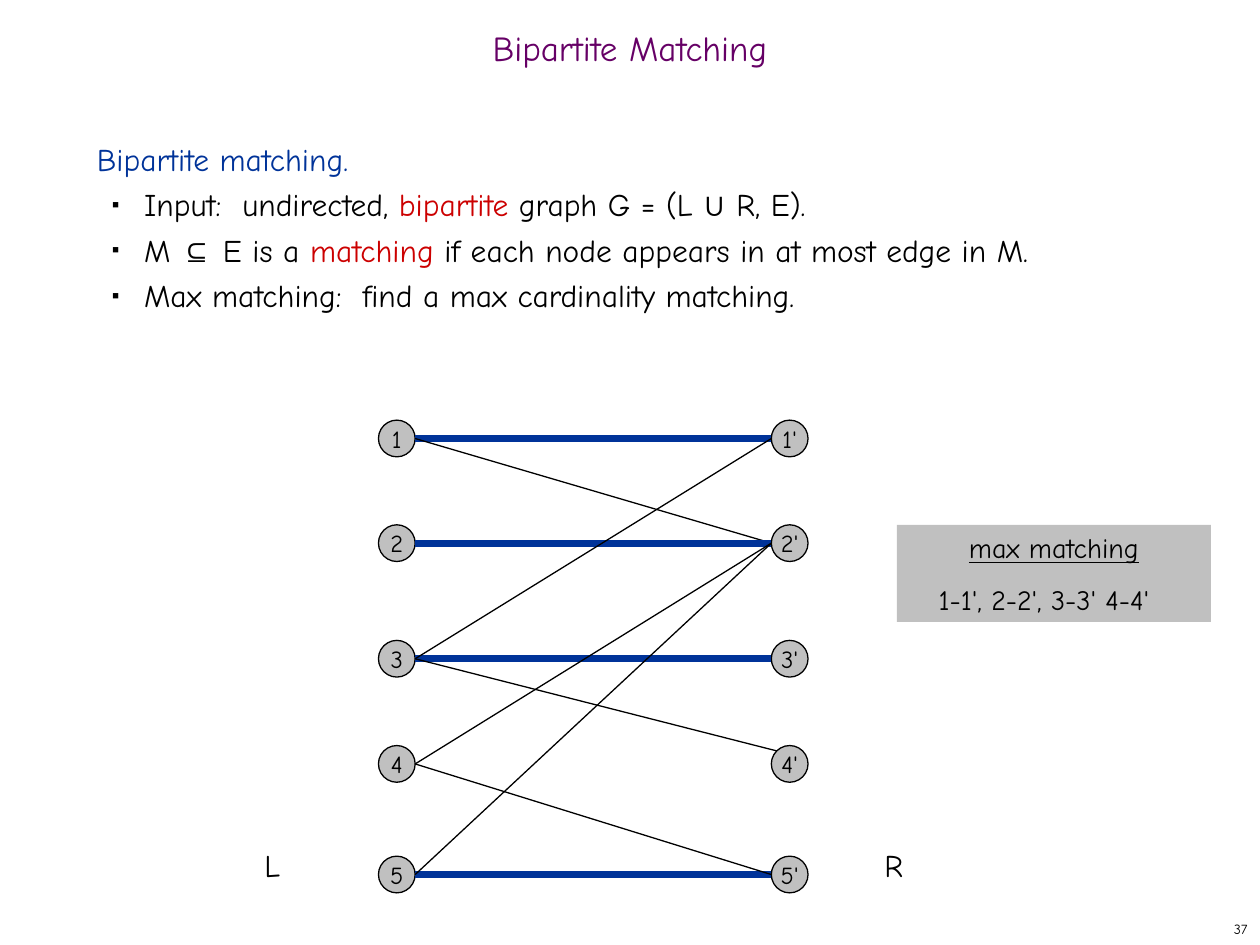
from dataclasses import dataclass

from lxml.etree import SubElement
from pptx import Presentation
from pptx.dml.color import RGBColor
from pptx.enum.shapes import MSO_CONNECTOR as Connector, MSO_SHAPE as Preset
from pptx.enum.text import MSO_ANCHOR as Anchor, MSO_AUTO_SIZE as AutoSize, PP_ALIGN as Align
from pptx.oxml.ns import qn
from pptx.util import Cm, Pt

FONT, SYMBOL_FONT = "Comic Neue", "Arial"
BLACK, GRAY, BLUE, RED, PURPLE = "000000", "C0C0C0", "003399", "CC0000", "660066"

# Graph geometry, in centimetres
LEFT_X, RIGHT_X = 8.0, 15.92
ROW_Y = {1: 8.84, 2: 10.95, 3: 13.28, 4: 15.4, 5: 17.63}
RADIUS = 0.37
DIAGONAL = RADIUS * 0.71


@dataclass
class Edge:
    left: int
    right: int
    matched: bool = False
    to_corner: bool = False  # ends at the node's upper left instead of its left


@dataclass
class Label:
    text: str
    x: float
    y: float
    width: float
    height: float
    size: float = 18
    align: Align = Align.LEFT
    anchor: Anchor = Anchor.TOP


EDGES = [
    Edge(1, 1, matched=True), Edge(3, 3, matched=True), Edge(5, 5, matched=True),
    Edge(1, 2), Edge(2, 2, matched=True), Edge(4, 2),
    Edge(3, 4, to_corner=True), Edge(4, 5), Edge(5, 2), Edge(3, 1),
]
LABELS = [
    Label("L", 5.08, 16.93, 1.7, 1.02),
    Label("R", 17.58, 16.93, 1.7, 1.02),
    Label("37", 20.12, 18.42, 5.28, 0.63, 8, Align.RIGHT, Anchor.MIDDLE),
]
# Each bullet is a list of (text, format) pieces
BULLETS = [
    [("Input:  undirected, ", {}), ("bipartite", {"color": RED}), (" graph G = (L ", {}),
     ("∪", {"font": SYMBOL_FONT}), (" R, E).", {})],
    [("M ", {}), ("⊆", {"font": SYMBOL_FONT}), (" E is a ", {}),
     ("matching", {"color": RED}), (" if each node appears in at most edge in M.", {})],
    [("Max matching:  find a max cardinality matching.", {})],
]


def rgb(value: str) -> RGBColor:
    return RGBColor.from_string(value)


def write(paragraph, text: str, *, size: float = 18, color: str = BLACK,
          font: str = FONT, underline: bool = False, align: Align = None) -> None:
    run = paragraph.add_run()
    run.text = text
    run.font.name, run.font.size = font, Pt(size)
    run.font.color.rgb = rgb(color)
    if underline:
        run.font.underline = True
    if align is not None:
        paragraph.alignment = align


def place(shape, x: float, y: float, width: float, height: float) -> None:
    shape.left, shape.top, shape.width, shape.height = map(Cm, (x, y, width, height))


def format_frame(frame, anchor: Anchor, wrap: bool = True) -> None:
    frame.auto_size = AutoSize.NONE
    frame.word_wrap = wrap
    frame.vertical_anchor = anchor


def set_bullet(paragraph, char: str = "") -> None:
    props = paragraph._p.get_or_add_pPr()
    props.set("marL", str(Cm(0.95) if char else 0))
    props.set("indent", str(Cm(-0.64) if char else 0))
    if not char:
        SubElement(props, qn("a:buNone"))
        return
    SubElement(SubElement(props, qn("a:buClr")), qn("a:srgbClr"), val=BLACK)
    SubElement(props, qn("a:buSzPct"), val="35000")
    SubElement(props, qn("a:buFont"), typeface=SYMBOL_FONT)
    SubElement(props, qn("a:buChar"), char=char)


def add_filled(slide, preset: Preset, x: float, y: float, width: float, height: float):
    shape = slide.shapes.add_shape(preset, *map(Cm, (x, y, width, height)))
    shape.shadow.inherit = False
    shape.fill.solid()
    shape.fill.fore_color.rgb = rgb(GRAY)
    return shape


def add_node(slide, name: str, x: float, y: float) -> None:
    node = add_filled(slide, Preset.OVAL, x - RADIUS, y - RADIUS, 2 * RADIUS, 2 * RADIUS)
    node.line.color.rgb = rgb(BLACK)
    node.line.width = Pt(0.75)
    format_frame(node.text_frame, Anchor.MIDDLE, wrap=False)
    write(node.text_frame.paragraphs[0], name, size=14, align=Align.CENTER)


def add_edge(slide, edge: Edge) -> None:
    end_x, end_y = RIGHT_X - RADIUS, ROW_Y[edge.right]
    if edge.to_corner:
        end_x, end_y = RIGHT_X - DIAGONAL, end_y - DIAGONAL
    ends = (LEFT_X + RADIUS, ROW_Y[edge.left], end_x, end_y)
    line = slide.shapes.add_connector(Connector.STRAIGHT, *map(Cm, ends))
    line.line.color.rgb = rgb(BLUE if edge.matched else BLACK)
    line.line.width = Pt(4 if edge.matched else 0.75)
    SubElement(line._element.spPr, qn("a:effectLst"))


def add_label(slide, label: Label) -> None:
    box = slide.shapes.add_textbox(*map(Cm, (label.x, label.y, label.width, label.height)))
    format_frame(box.text_frame, label.anchor)
    write(box.text_frame.paragraphs[0], label.text, size=label.size, align=label.align)


def add_title(slide) -> None:
    title = slide.shapes.title
    place(title, 0, 0.43, 25.4, 1.27)
    format_frame(title.text_frame, Anchor.MIDDLE)
    heading = title.text_frame.paragraphs[0]
    heading.line_spacing = 0.7
    write(heading, "Bipartite Matching", size=20, color=PURPLE, align=Align.CENTER)


def add_body(slide) -> None:
    body = slide.placeholders[1]
    place(body, 1.7, 2.54, 21.8, 15.04)
    frame = body.text_frame
    format_frame(frame, Anchor.TOP)
    lead = frame.paragraphs[0]
    set_bullet(lead)
    write(lead, "Bipartite matching.", color=BLUE)
    for pieces in BULLETS:
        bullet = frame.add_paragraph()
        bullet.level = 1
        set_bullet(bullet, "■")
        for text, style in pieces:
            write(bullet, text, **style)
    for paragraph in frame.paragraphs:
        paragraph.space_before = Pt(0)
        paragraph.line_spacing = Pt(26)


def add_result(slide) -> None:
    result = add_filled(slide, Preset.RECTANGLE, 18.08, 10.58, 6.33, 1.96)
    result.line.fill.background()
    frame = result.text_frame
    format_frame(frame, Anchor.TOP)
    write(frame.paragraphs[0], "max matching", size=16, underline=True, align=Align.CENTER)
    pairs = frame.add_paragraph()
    pairs.space_before = Pt(10)
    pairs._p.get_or_add_pPr().set("marR", str(Cm(0.4)))
    write(pairs, "1-1', 2-2', 3-3' 4-4'", size=16, align=Align.CENTER)


def main() -> None:
    deck = Presentation()
    deck.slide_width, deck.slide_height = Cm(25.4), Cm(19.05)
    slide = deck.slides.add_slide(deck.slide_layouts[1])

    # Title and definition
    add_title(slide)
    add_body(slide)

    # Bipartite graph
    for row, y in ROW_Y.items():
        add_node(slide, f"{row}", LEFT_X, y)
        add_node(slide, f"{row}'", RIGHT_X, y)
    for edge in EDGES:
        add_edge(slide, edge)

    # Side names, slide number and matching found
    for label in LABELS:
        add_label(slide, label)
    add_result(slide)

    deck.save("out.pptx")


if __name__ == "__main__":
    main()
